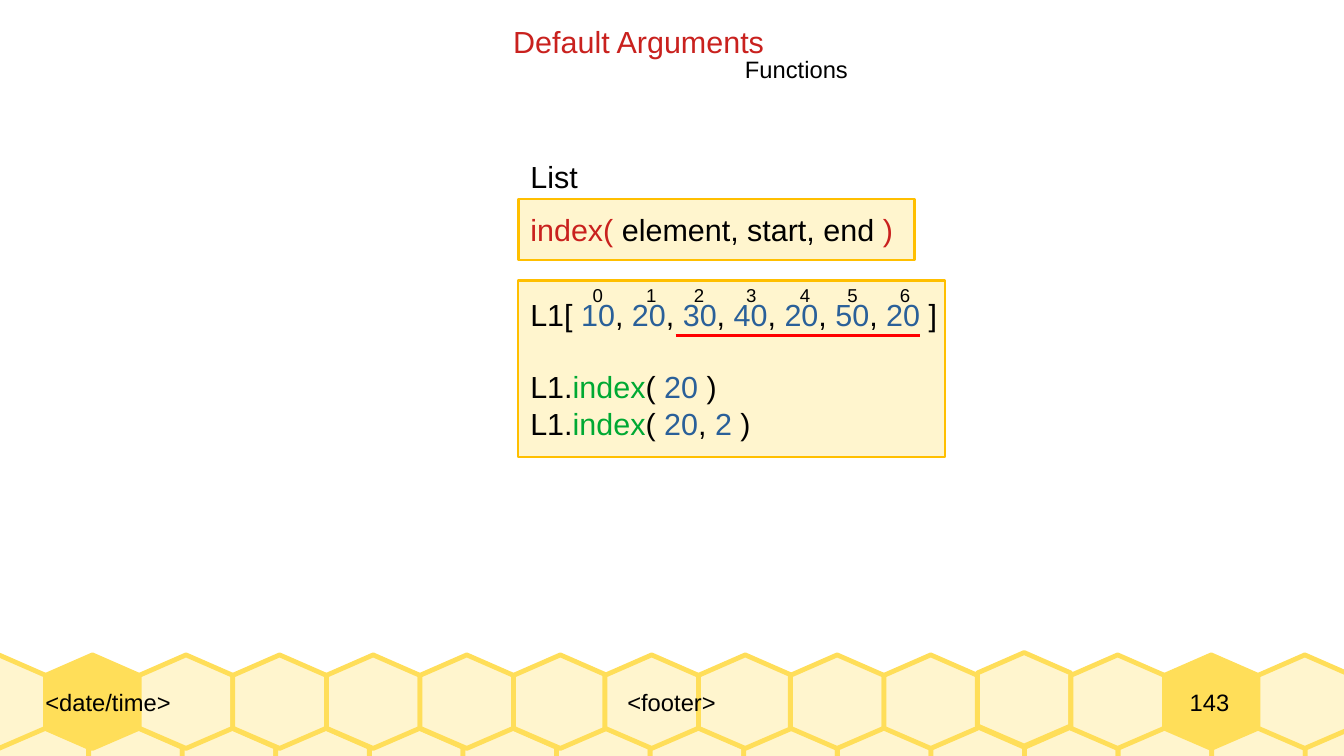
"""Build the slide on default arguments of the list index function."""
from dataclasses import dataclass

from lxml.etree import SubElement
from pptx import Presentation
from pptx.dml.color import RGBColor
from pptx.enum.shapes import MSO_CONNECTOR, MSO_SHAPE
from pptx.enum.text import MSO_ANCHOR, MSO_AUTO_SIZE, PP_ALIGN
from pptx.oxml.ns import qn
from pptx.slide import Slide
from pptx.text.text import TextFrame
from pptx.util import Pt

COLOURS = {
    "black": "000000",
    "red": "C9211E",
    "blue": "2A6099",
    "green": "00A933",
    "cream": "FFF5CE",
    "honey": "FFDE59",
    "amber": "FFBF00",
    "underline": "FF0000",
}
FONT = "Arial"
CODE_SIZE = 18
LINE_HEIGHT = 20.7
CELL = 55.25
CELL_SHOULDER = 12.1
CELL_HIP = 43.3
UPPER_ROW = 386.7
LOWER_ROW = 429.2

Line = list[tuple[str, str]]


@dataclass
class Comb:
    left: float
    top: float
    count: int
    filled: tuple[int, ...] = ()


@dataclass
class Label:
    text: str
    left: float
    top: float
    width: float
    height: float
    size: float
    colour: str = "black"


@dataclass
class Footer:
    text: str
    left: float
    width: float
    align: PP_ALIGN


@dataclass
class CodeBox:
    top: float
    width: float
    height: float
    lines: list[Line]
    gap_before: int = 0


COMBS = [
    Comb(-2.9, LOWER_ROW, 15),
    Comb(-28.3, UPPER_ROW, 7, (1,)),
    Comb(357.1, UPPER_ROW, 2),
    Comb(466.6, UPPER_ROW, 2),
    Comb(577, 385.3, 1),
    Comb(632.2, UPPER_ROW, 3, (1,)),
]
FOOTERS = [
    Footer("<date/time>", 26.8, 189, PP_ALIGN.LEFT),
    Footer("<footer>", 216.2, 360.6, PP_ALIGN.CENTER),
    Footer("143", 669, 90, PP_ALIGN.CENTER),
]
HEADINGS = [
    Label("Default Arguments", 295.9, 10.1, 190, 27.4, 18, "red"),
    Label("Functions", 432.7, 28.8, 82, 23, 14),
    Label("List", 306, 90, 42.5, 27.4, 18),
]
INDEX_LEFTS = [342.7, 374.4, 402.5, 433.4, 465.1, 493.2, 524.2]
INDICES = [
    Label(str(position), left, 164.2, 20.2, 19.4, 11)
    for position, left in enumerate(INDEX_LEFTS)
]


def list_line(values: list[int]) -> Line:
    line = [("L1[ ", "black")]
    for value in values[:-1]:
        line += [(str(value), "blue"), (", ", "black")]
    return line + [(f"{values[-1]} ", "blue"), ("]", "black")]


def call_line(*arguments: tuple[str, str]) -> Line:
    return [("L1.", "black"), ("index", "green"), ("( ", "black"), *arguments]


SIGNATURE = CodeBox(117.4, 234, 36, [
    [("index(", "red"), (" element, start, end", "black"), (" )", "red")],
])
EXAMPLE = CodeBox(165.6, 252, 104.4, [
    list_line([10, 20, 30, 40, 20, 50, 20]),
    call_line(("20", "blue"), (" )", "black")),
    call_line(("20", "blue"), (", ", "black"), ("2 ", "blue"), (")", "black")),
], gap_before=1)


def rgb(colour: str) -> RGBColor:
    return RGBColor.from_string(COLOURS[colour])


def write(frame: TextFrame, lines: list[Line], size: float, align: PP_ALIGN,
          gap_before: int = 0) -> None:
    for number, line in enumerate(lines):
        paragraph = frame.add_paragraph() if number else frame.paragraphs[0]
        paragraph.alignment = align
        if number and number == gap_before:
            paragraph.space_before = Pt(LINE_HEIGHT)
        for text, colour in line:
            run = paragraph.add_run()
            run.text = text
            run.font.name = FONT
            run.font.size = Pt(size)
            run.font.color.rgb = rgb(colour)


def draw_comb(slide: Slide, comb: Comb) -> None:
    for position in range(comb.count):
        left = comb.left + position * CELL
        right, middle = left + CELL, left + CELL / 2
        corners = [
            (right, CELL_SHOULDER), (right, CELL_HIP), (middle, CELL),
            (left, CELL_HIP), (left, CELL_SHOULDER),
        ]
        builder = slide.shapes.build_freeform(Pt(middle), Pt(comb.top))
        builder.add_line_segments([(Pt(x), Pt(comb.top + y)) for x, y in corners])
        cell = builder.convert_to_shape()
        cell.shadow.inherit = False
        cell.fill.solid()
        cell.fill.fore_color.rgb = rgb("honey" if position in comb.filled else "cream")
        cell.line.color.rgb = rgb("honey")
        cell.line.width = Pt(2.83)


def draw_footer(slide: Slide, footer: Footer) -> None:
    frame = slide.shapes.add_textbox(
        Pt(footer.left), Pt(UPPER_ROW), Pt(footer.width), Pt(CELL)).text_frame
    frame.margin_left = frame.margin_right = frame.margin_top = frame.margin_bottom = 0
    frame.word_wrap = True
    frame.vertical_anchor = MSO_ANCHOR.MIDDLE
    write(frame, [[(footer.text, "black")]], 14, footer.align)


def draw_label(slide: Slide, label: Label) -> None:
    frame = slide.shapes.add_textbox(
        Pt(label.left), Pt(label.top), Pt(label.width), Pt(label.height)).text_frame
    frame.word_wrap = False
    frame.auto_size = MSO_AUTO_SIZE.SHAPE_TO_FIT_TEXT
    write(frame, [[(label.text, label.colour)]], label.size, PP_ALIGN.LEFT)


def draw_code(slide: Slide, code: CodeBox) -> None:
    box = slide.shapes.add_shape(
        MSO_SHAPE.RECTANGLE, Pt(306), Pt(code.top), Pt(code.width), Pt(code.height))
    box.shadow.inherit = False
    box.fill.solid()
    box.fill.fore_color.rgb = rgb("cream")
    box.line.color.rgb = rgb("amber")
    box.line.width = Pt(1.42)
    box.text_frame.word_wrap = False
    box.text_frame.vertical_anchor = MSO_ANCHOR.MIDDLE
    write(box.text_frame, code.lines, CODE_SIZE, PP_ALIGN.JUSTIFY, code.gap_before)


def draw_underline(slide: Slide, left: float, right: float, top: float) -> None:
    underline = slide.shapes.add_connector(
        MSO_CONNECTOR.STRAIGHT, Pt(left), Pt(top), Pt(right), Pt(top))
    underline.line.color.rgb = rgb("underline")
    underline.line.width = Pt(1.42)
    SubElement(underline._element.spPr, qn("a:effectLst"))


def main() -> None:
    deck = Presentation()
    deck.slide_width, deck.slide_height = Pt(793.44), Pt(446.4)
    slide = deck.slides.add_slide(deck.slide_layouts[6])
    for comb in COMBS:
        draw_comb(slide, comb)
    for footer in FOOTERS:
        draw_footer(slide, footer)
    for heading in HEADINGS:
        draw_label(slide, heading)
    for code in (SIGNATURE, EXAMPLE):
        draw_code(slide, code)
    for index in INDICES:
        draw_label(slide, index)
    draw_underline(slide, 398.9, 542.9, 198)
    deck.save("out.pptx")


if __name__ == "__main__":
    main()
